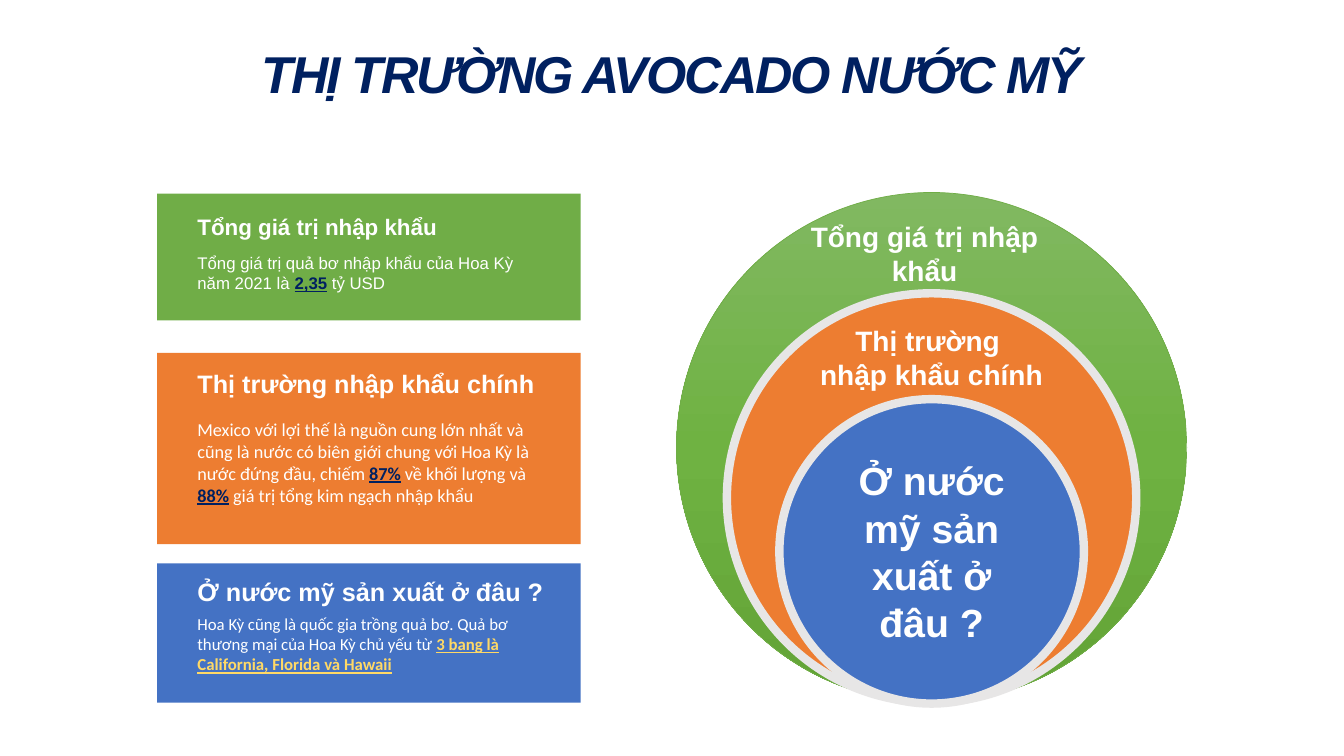
from copy import deepcopy

from pptx import Presentation
from pptx.dml.color import RGBColor
from pptx.enum.shapes import MSO_SHAPE
from pptx.enum.text import MSO_ANCHOR, MSO_AUTO_SIZE, PP_ALIGN
from pptx.oxml.ns import qn
from pptx.util import Inches, Pt

NAVY = RGBColor(0x00, 0x20, 0x60)
GREEN = RGBColor(0x70, 0xAD, 0x47)
ORANGE = RGBColor(0xED, 0x7D, 0x31)
BLUE = RGBColor(0x44, 0x72, 0xC4)
GRAY = RGBColor(0xE7, 0xE6, 0xE6)
WHITE = RGBColor(0xFF, 0xFF, 0xFF)
YELLOW = RGBColor(0xFF, 0xD9, 0x66)
SHADES = (
    (0, RGBColor(0x81, 0xB8, 0x61)),
    (0.5, RGBColor(0x6F, 0xB2, 0x42)),
    (1, RGBColor(0x62, 0xA3, 0x36)),
)

TOTAL = "Tổng giá trị nhập khẩu"
HOME = "Ở nước mỹ sản xuất ở đâu ?"
CARD_LEFT, CARD_WIDTH = 1.56, 4.2
TEXT_LEFT, TEXT_WIDTH = 1.86, 3.6
RING_MID = 9.24

# top, height, fill, (heading, top, height, width, size),
# (body top, height, font, size, runs); a run with a colour is a key figure
CARDS = (
    (1.92, 1.26, GREEN, (TOTAL, 2.06, 0.37, TEXT_WIDTH, 16),
     (2.46, 0.5, "Arial", 12, (
         ("Tổng giá trị quả bơ nhập khẩu của Hoa Kỳ năm 2021 là ", None),
         ("2,35", NAVY),
         (" tỷ USD", None)))),
    (3.5, 1.9, ORANGE,
     ("Thị trường nhập khẩu chính", 3.6, 0.4, TEXT_WIDTH, 18),
     (4.1, 1.19, "Calibri", 13, (
         ("Mexico với lợi thế là nguồn cung lớn nhất và cũng là nước có biên "
          "giới chung với Hoa Kỳ là nước đứng đầu, chiếm ", None),
         ("87%", NAVY),
         (" về khối lượng và ", None),
         ("88%", NAVY),
         (" giá trị tổng kim ngạch nhập khẩu", None)))),
    (5.59, 1.38, BLUE, (HOME, 5.67, 0.4, 3.78, 18),
     (6.04, 0.71, "Calibri", 12, (
         ("Hoa Kỳ cũng là quốc gia trồng quả bơ. Quả bơ thương mại của "
          "Hoa Kỳ chủ yếu từ ", None),
         ("3 bang là California, Florida và Hawaii", YELLOW)))),
)

# top, diameter, fill, line colour, line width
RINGS = (
    (1.91, 5.06, None, GREEN, 0.5),
    (2.91, 4.06, ORANGE, GRAY, 6),
    (3.96, 3.02, BLUE, GRAY, 6),
)

# box, size, lines
LABELS = (
    ((7.73, 2.13, 2.88, 0.77), 20, (TOTAL,)),
    ((7.96, 3.16, 2.56, 0.77), 20, ("Thị trường ", "nhập khẩu chính")),
    ((8.27, 4.47, 1.94, 1.99), 28, (HOME,)),
)


def add_run(para, text, size, color=WHITE, name="Arial", bold=False):
    run = para.add_run()
    run.text = text
    font = run.font
    font.name, font.size, font.bold = name, Pt(size), bold
    font.color.rgb = color
    return run


def add_frame(slide, box, anchor):
    frame = slide.shapes.add_textbox(*map(Inches, box)).text_frame
    frame.word_wrap = True
    frame.vertical_anchor = anchor
    return frame


def add_shape(slide, kind, box, fill):
    shape = slide.shapes.add_shape(kind, *map(Inches, box))
    shape.shadow.inherit = False
    if fill is None:
        shade(shape)
    else:
        shape.fill.solid()
        shape.fill.fore_color.rgb = fill
    return shape


def shade(shape):
    """Fill with the three green stops, from top to bottom."""
    shape.fill.gradient()
    shape.fill.gradient_angle = 270
    stops = shape.element.spPr.find(".//" + qn("a:gsLst"))
    stops.append(deepcopy(stops[-1]))
    for stop, (place, color) in zip(shape.fill.gradient_stops, SHADES):
        stop.position = place
        stop.color.rgb = color


def set_title(slide, text):
    title = slide.shapes.title
    title.left, title.top = Inches(0.83), Inches(0.36)
    title.width, title.height = Inches(11.67), Inches(0.72)
    frame = title.text_frame
    frame.auto_size = MSO_AUTO_SIZE.NONE
    frame.vertical_anchor = MSO_ANCHOR.BOTTOM
    para = frame.paragraphs[0]
    para.alignment = PP_ALIGN.CENTER
    run = add_run(para, text, 37, NAVY, bold=True)
    run.font.italic = True
    run.font._element.set("spc", "-140")


def add_ring(slide, top, size, fill, color, width):
    box = (RING_MID - size / 2, top, size, size)
    ring = add_shape(slide, MSO_SHAPE.OVAL, box, fill)
    ring.line.color.rgb = color
    ring.line.width = Pt(width)


def add_card(slide, top, height, fill, head, body):
    box = (CARD_LEFT, top, CARD_WIDTH, height)
    card = add_shape(slide, MSO_SHAPE.RECTANGLE, box, fill)
    card.line.fill.background()

    text, top, height, width, size = head
    frame = add_frame(slide, (TEXT_LEFT, top, width, height), MSO_ANCHOR.BOTTOM)
    add_run(frame.paragraphs[0], text, size, bold=True)

    top, height, name, size, runs = body
    frame = add_frame(slide, (TEXT_LEFT, top, TEXT_WIDTH, height), MSO_ANCHOR.TOP)
    for text, color in runs:
        key = color is not None
        run = add_run(frame.paragraphs[0], text, size, color or WHITE, name, key)
        run.font.underline = key


def add_label(slide, box, size, lines):
    frame = add_frame(slide, box, MSO_ANCHOR.MIDDLE)
    for i, line in enumerate(lines):
        para = frame.add_paragraph() if i else frame.paragraphs[0]
        para.alignment = PP_ALIGN.CENTER
        add_run(para, line, size, bold=True)


def main():
    deck = Presentation()
    deck.slide_width, deck.slide_height = Inches(13.33), Inches(7.5)
    slide = deck.slides.add_slide(deck.slide_layouts[5])
    set_title(slide, "THỊ TRƯỜNG AVOCADO NƯỚC MỸ")
    for ring in RINGS:
        add_ring(slide, *ring)
    for card in CARDS:
        add_card(slide, *card)
    for label in LABELS:
        add_label(slide, *label)
    deck.save("out.pptx")


if __name__ == "__main__":
    main()
